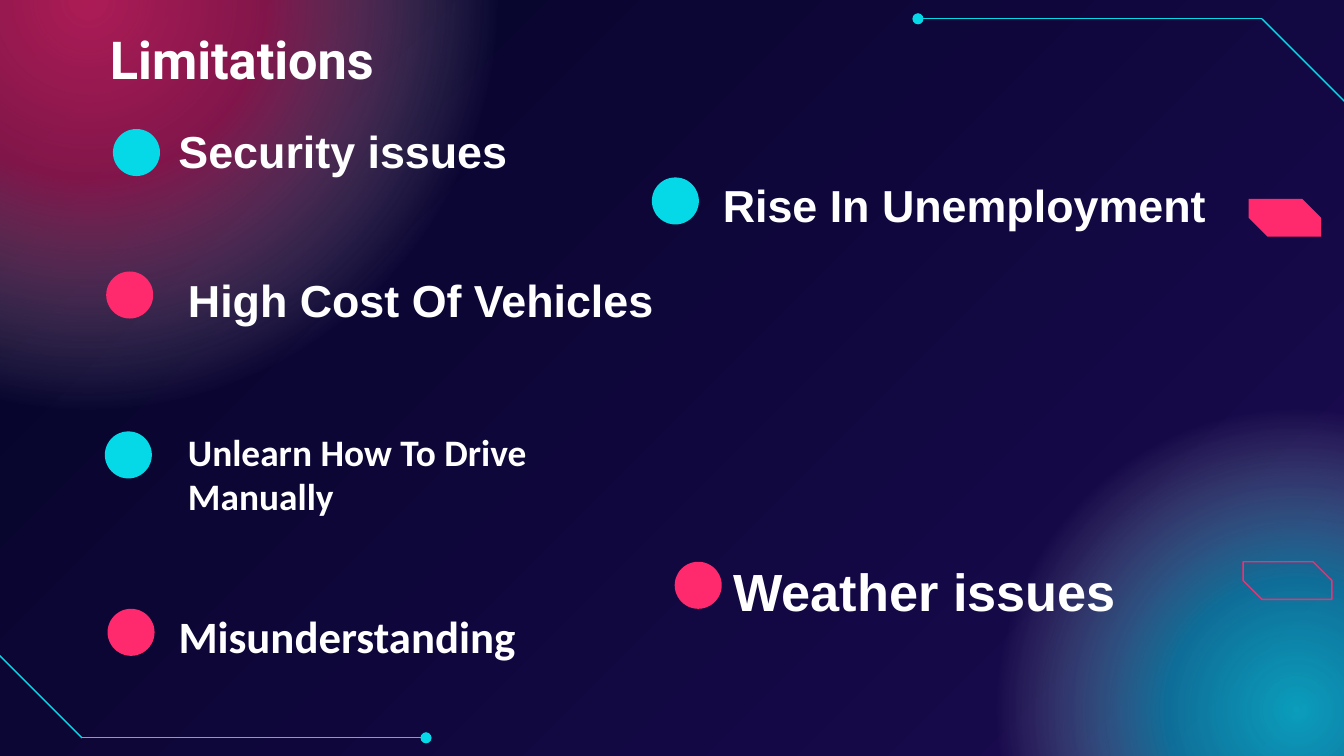
from lxml import etree
from pptx import Presentation
from pptx.dml.color import RGBColor
from pptx.enum.shapes import MSO_CONNECTOR, MSO_SHAPE
from pptx.enum.text import MSO_ANCHOR
from pptx.oxml.ns import qn
from pptx.util import Inches, Pt

OVAL = MSO_SHAPE.OVAL
SNIPPED = MSO_SHAPE.SNIP_2_DIAG_RECTANGLE
STRAIGHT = MSO_CONNECTOR.STRAIGHT
TOP = MSO_ANCHOR.TOP
CYAN, PINK, WHITE = "05D8E7", "FF296D", "FFFFFF"
SLIDE_WIDTH = 10
SLIDE_HEIGHT = SLIDE_WIDTH * 9 / 16
DOT_SIZE = 0.35
INSET = 0.1

GLOWS = [
    (-2.47, -3.12, 6.25, PINK, 67, 49),
    (7.36, 2.99, 4.57, CYAN, 71, 48),
]
CIRCUITS = [
    [(-0.02, 4.86), (0.61, 5.49), (3.17, 5.49)],
    [(10.02, 0.77), (9.39, 0.14), (6.83, 0.14)],
]
LIMITATIONS = [
    ("Security issues", (1.23, 0.82, 3.44, 0.72), 24, "Arial", (0.84, 0.96), CYAN),
    ("High Cost Of Vehicles", (1.3, 1.93, 4.23, 0.53), 24, "Arial", (0.79, 2.02), PINK),
    ("Unlearn How To Drive Manually", (1.3, 3.09, 3.73, 0.72), 20, "Calibri", (0.78, 3.21), CYAN),
    ("Misunderstanding", (1.23, 4.43, 3.61, 0.61), 24, "Calibri", (0.8, 4.53), PINK),
    ("Rise In Unemployment", (5.28, 1.22, 4.23, 0.53), 24, "Arial", (4.85, 1.32), CYAN),
    ("Weather issues", (5.36, 4.06, 4.23, 0.53), 28, "Arial", (5.02, 4.18), PINK),
]


def rgb(value):
    """Turn a hex string into a colour."""
    return RGBColor.from_string(value)


def set_attributes(target, values):
    """Set each named attribute on the target."""
    for name, value in values.items():
        setattr(target, name, value)


def paint_background(slide, start, end):
    """Fill the slide with a diagonal gradient."""
    fill = slide.background.fill
    fill.gradient()
    fill.gradient_angle = 315
    for stop, position, color in zip(fill.gradient_stops, (0, 1), (start, end)):
        stop.position = position
        stop.color.rgb = rgb(color)


def add_preset(slide, preset, box, fill=None, outline=None):
    """Add a flat preset shape with an optional fill and outline."""
    shape = slide.shapes.add_shape(preset, *map(Inches, box))
    shape.shadow.inherit = False
    if fill:
        shape.fill.solid()
        shape.fill.fore_color.rgb = rgb(fill)
    else:
        shape.fill.background()
    if outline:
        shape.line.color.rgb = rgb(outline)
        shape.line.width = Pt(0.75)
    else:
        shape.line.fill.background()
    return shape


def add_glow(slide, left, top, size, color, center_alpha, middle_alpha):
    """Add a circle that fades from its centre to transparent."""
    glow = add_preset(slide, OVAL, (left, top, size, size))
    gradient = etree.Element(qn("a:gradFill"), rotWithShape="1")
    stops = etree.SubElement(gradient, qn("a:gsLst"))
    for position, shade, alpha in [
        (0, color, center_alpha), (30, color, middle_alpha), (69, WHITE, 0), (100, WHITE, 0)
    ]:
        stop = etree.SubElement(stops, qn("a:gs"), pos=str(position * 1000))
        tint = etree.SubElement(stop, qn("a:srgbClr"), val=shade)
        etree.SubElement(tint, qn("a:alpha"), val=str(alpha * 1000))
    focus = etree.SubElement(gradient, qn("a:path"), path="circle")
    etree.SubElement(focus, qn("a:fillToRect"), dict.fromkeys("ltrb", "50000"))
    properties = glow.element.spPr
    properties.replace(properties.find(qn("a:noFill")), gradient)


def add_line(slide, start, end, dotted_end):
    """Add a thin cyan line, optionally ending in a dot."""
    line = slide.shapes.add_connector(STRAIGHT, *map(Inches, start + end))
    line.line.color.rgb = rgb(CYAN)
    line.line.width = Pt(0.75)
    properties = line.element.spPr
    if dotted_end:
        etree.SubElement(properties.find(qn("a:ln")), qn("a:tailEnd"), type="oval")
    etree.SubElement(properties, qn("a:effectLst"))


def add_circuit(slide, points):
    """Join the points with lines and put a dot on the last one."""
    for start, end in zip(points, points[1:]):
        add_line(slide, start, end, end == points[-1])


def add_label(slide, wording, box, size, font):
    """Add bold white text in a wrapping box."""
    label = slide.shapes.add_textbox(*map(Inches, box))
    frame = label.text_frame
    margins = {f"margin_{side}": Inches(INSET) for side in ("left", "top", "right", "bottom")}
    set_attributes(frame, {"word_wrap": True, "vertical_anchor": TOP, **margins})
    run = frame.paragraphs[0].add_run()
    run.text = wording
    set_attributes(run.font, {"name": font, "size": Pt(size), "bold": True})
    run.font.color.rgb = rgb(WHITE)


def add_snipped(slide, box, **colors):
    """Add a rectangle with two opposite corners snipped."""
    tag = add_preset(slide, SNIPPED, box, **colors)
    tag.adjustments[0] = 0
    tag.adjustments[1] = 0.5


def main():
    """Build the limitations slide and save it."""
    deck = Presentation()
    set_attributes(
        deck, {"slide_width": Inches(SLIDE_WIDTH), "slide_height": Inches(SLIDE_HEIGHT)}
    )
    slide = deck.slides.add_slide(deck.slide_layouts[6])
    paint_background(slide, "030325", "1B0B52")
    for glow in GLOWS:
        add_glow(slide, *glow)
    for points in CIRCUITS:
        add_circuit(slide, points)
    add_label(slide, "Limitations", (0.72, 0.1, 8.44, 0.63), 28, "Roboto")
    for wording, box, size, font, dot, color in LIMITATIONS:
        add_label(slide, wording, box, size, font)
        add_preset(slide, OVAL, (*dot, DOT_SIZE, DOT_SIZE), fill=color)
    add_snipped(slide, (9.29, 1.48, 0.54, 0.28), fill=PINK)
    add_snipped(slide, (9.25, 4.18, 0.66, 0.28), outline=PINK)
    deck.save("out.pptx")


if __name__ == "__main__":
    main()
